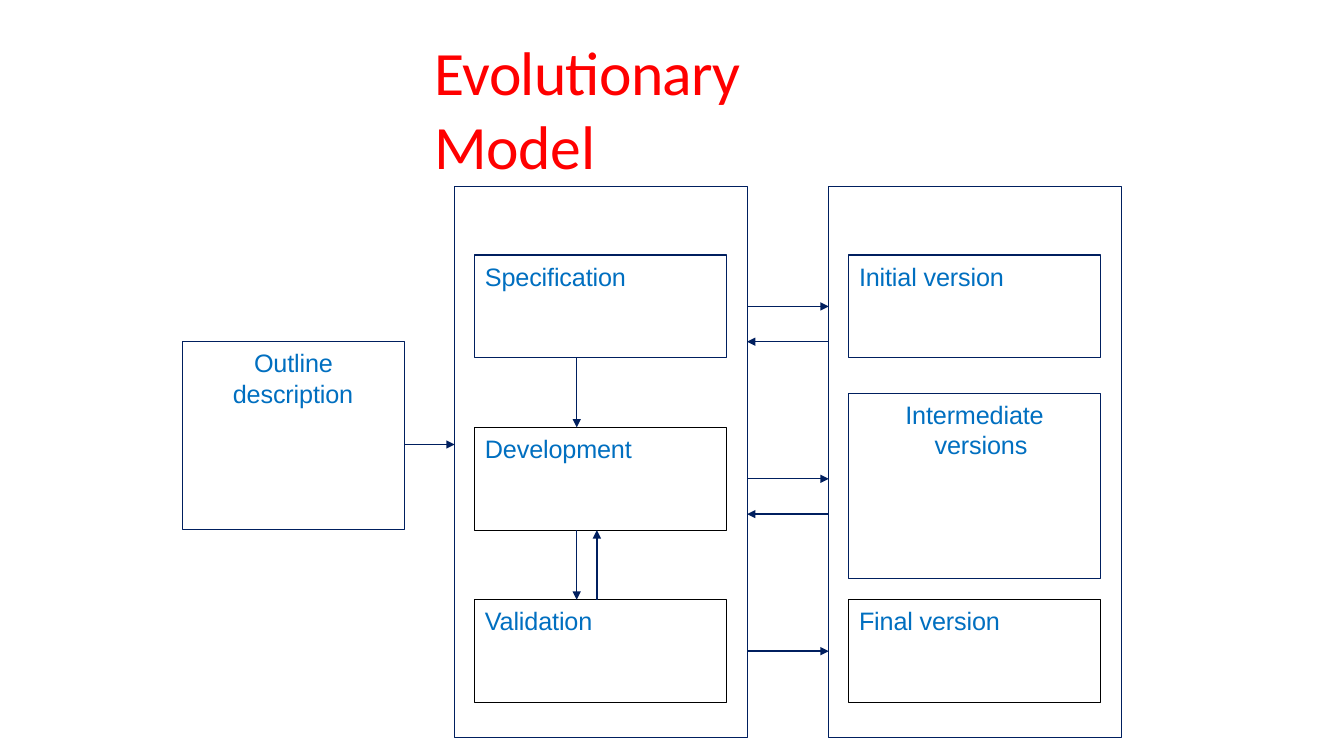
import pptx
import pptx.util
import pptx.dml.color
import pptx.enum.shapes
import pptx.enum.text
import pptx.oxml.ns
import lxml.etree

Inches = pptx.util.Inches
NAVY, BLACK, BLUE, RED = "001F5F", "000000", "006FC0", "FF0000"


def color(code):
    return pptx.dml.color.RGBColor.from_string(code)


class Chart:
    """Holds the style and the current slide."""

    def __init__(self, slide):
        self.slide = slide
        self.font, self.size, self.ink = "Arial", 18, BLUE

    def box(self, x, y, w, h, line=NAVY):
        kind = pptx.enum.shapes.MSO_SHAPE.RECTANGLE
        shape = self.slide.shapes.add_shape(
            kind, Inches(x), Inches(y), Inches(w), Inches(h))
        shape.shadow.inherit = False
        shape.fill.background()
        shape.line.color.rgb = color(line)
        shape.line.width = pptx.util.Pt(0.75)
        return shape

    def words(self, shape, runs, top=0.06, left=0.1, first=0,
              font=None, size=None, ink=None):
        frame = shape.text_frame
        frame.word_wrap = True
        frame.vertical_anchor = pptx.enum.text.MSO_ANCHOR.TOP
        frame.margin_left = frame.margin_right = frame.margin_bottom = 0
        frame.margin_top = Inches(top)
        par = frame.paragraphs[0]
        par.alignment = pptx.enum.text.PP_ALIGN.LEFT
        props = par._p.get_or_add_pPr()
        props.set("marL", str(Inches(left)))
        props.set("indent", str(Inches(first)))
        for text, gap in runs:
            run = par.add_run()
            run.text = text
            run.font.name = font or self.font
            run.font.size = pptx.util.Pt(size or self.size)
            run.font.color.rgb = color(ink or self.ink)
            run._r.get_or_add_rPr().set("spc", str(gap))

    def label(self, text, x, y, w, h, line=NAVY, left=0.1, first=0):
        shape = self.box(x, y, w, h, line)
        self.words(shape, [(text, -10)], left=left, first=first)

    def title(self, runs, x, y, w, h):
        shape = self.slide.shapes.add_textbox(
            Inches(x), Inches(y), Inches(w), Inches(h))
        self.words(shape, runs, top=0.02, left=0.01,
                   font="Calibri", size=44, ink=RED)

    def arrow(self, x1, y1, x2, y2):
        kind = pptx.enum.shapes.MSO_CONNECTOR.STRAIGHT
        link = self.slide.shapes.add_connector(
            kind, Inches(x1), Inches(y1), Inches(x2), Inches(y2))
        link.line.color.rgb = color(NAVY)
        link.line.width = pptx.util.Pt(1)
        qn = pptx.oxml.ns.qn
        tip = lxml.etree.SubElement(link.line._get_or_add_ln(), qn("a:tailEnd"))
        tip.set("type", "triangle")
        lxml.etree.SubElement(link._element.spPr, qn("a:effectLst"))


def main():
    deck = pptx.Presentation()
    deck.slide_width, deck.slide_height = Inches(13.33), Inches(7.5)
    chart = Chart(deck.slides.add_slide(deck.slide_layouts[6]))

    # Columns and rows
    left, right, wide = 4.51, 8.22, 2.9
    top, step, high = 2.53, 1.71, 1.02
    pad, width = 0.2, 2.5
    rows = [top + step * i for i in range(3)]
    edge = left + wide

    # Frames
    for x in (left, right):
        chart.box(x, 1.85, wide, 5.47)

    # Activities
    steps = ("Specification", "Development", "Validation")
    for text, y, line in zip(steps, rows, (NAVY, BLACK, BLACK)):
        chart.label(text, left + pad, y, width, high, line)

    # Versions
    chart.label("Initial version", right + pad, rows[0], width, high)
    chart.label("Intermediate versions", right + pad, 3.9, width, 1.84,
                left=0.85, first=-0.29)
    chart.label("Final version", right + pad, rows[2], width, high, BLACK)

    # Outline
    chart.label("Outline description", 1.81, 3.39, 2.2, 1.86,
                left=0.5, first=0.21)
    chart.arrow(4.01, 4.41, left, 4.41)

    # Arrows between the frames
    for y in rows:
        chart.arrow(edge, y + 0.51, right, y + 0.51)
    for y in rows[:2]:
        chart.arrow(right, y + 0.86, edge, y + 0.86)

    # Arrows between the activities
    for y in rows[:2]:
        chart.arrow(5.72, y + high, 5.72, y + step)
    chart.arrow(5.92, rows[2], 5.92, rows[1] + high)

    # Title
    chart.title([("Evolutionary ", -50), ("Model", -30)], 4.3, 0.32, 4.7, 0.76)

    deck.save("out.pptx")


if __name__ == "__main__":
    main()
